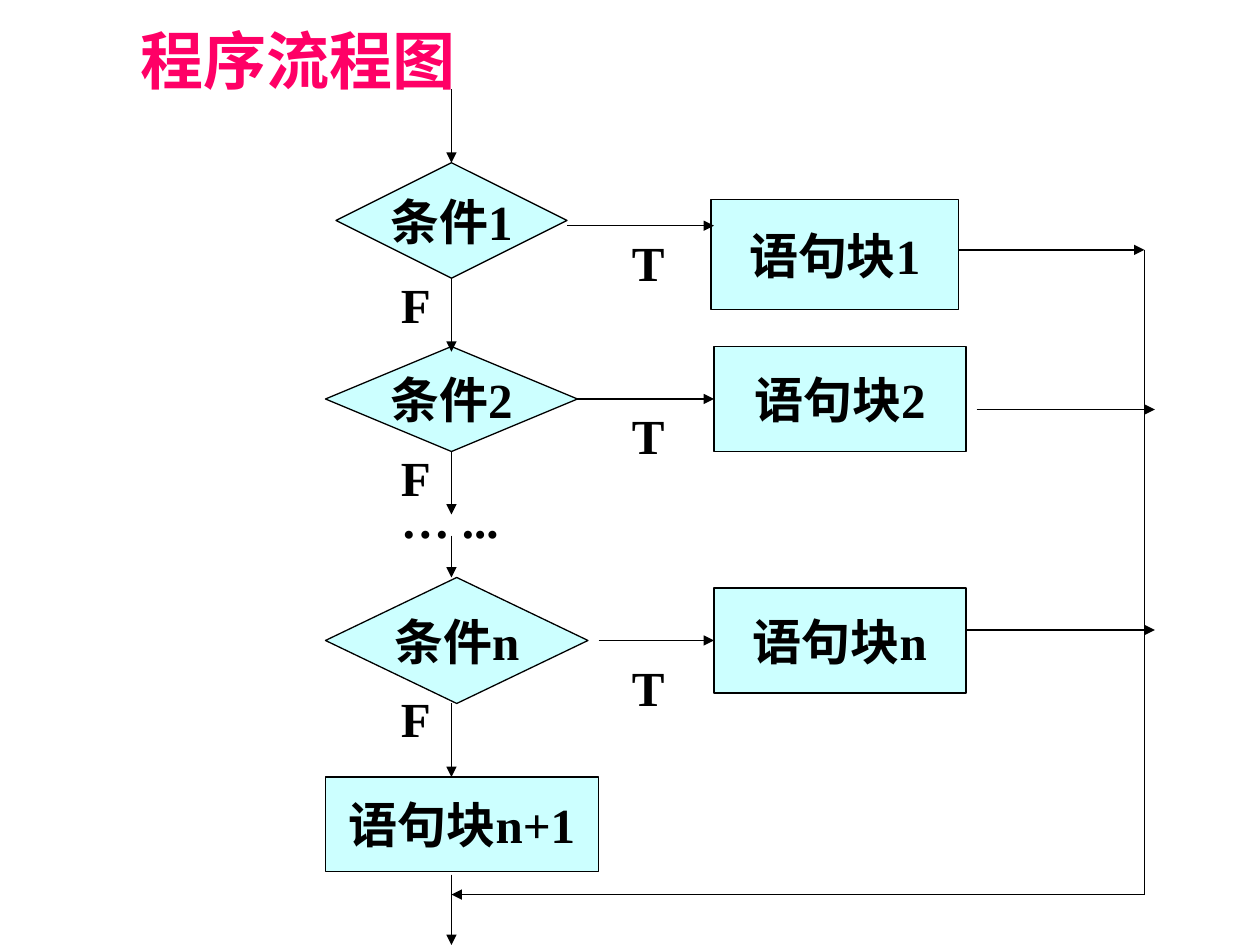
from dataclasses import dataclass

from lxml import etree
from pptx import Presentation
from pptx import util as u
from pptx.dml.color import RGBColor
from pptx.enum import shapes, text
from pptx.oxml.ns import qn


@dataclass(frozen=True)
class Theme:
    title_color: RGBColor = RGBColor(0xFF, 0x00, 0x66)
    fill: RGBColor = RGBColor(0xCC, 0xFF, 0xFF)
    ink: RGBColor = RGBColor(0x00, 0x00, 0x00)
    latin: str = "Times New Roman"
    chinese: str = "Noto Sans CJK SC"
    title_size: int = 36
    text_size: int = 28
    line_width: float = 0.75


THEME = Theme()
CELL = u.Inches(1) / 12  # the slide is a grid of 120 columns by 90 rows
SPINE = 43               # column of the main downward flow
RETURN = 109             # column of the return line
BRANCH = 68              # column where the true branches end
TOP, LEFT, BOTTOM, RIGHT = range(4)

DECISION = shapes.MSO_SHAPE.FLOWCHART_DECISION
PROCESS = shapes.MSO_SHAPE.FLOWCHART_PROCESS


def grid(*cells):
    return [u.Emu(round(cell * CELL)) for cell in cells]


def style_paragraph(paragraph, size, color, latin):
    font = paragraph.font
    font.size, font.bold, font.name = u.Pt(size), True, latin
    font.color.rgb = color
    properties = paragraph._p.pPr.find(qn("a:defRPr"))
    etree.SubElement(properties, qn("a:ea")).set("typeface", THEME.chinese)


def write(shape, words, align=text.PP_ALIGN.CENTER,
          anchor=text.MSO_ANCHOR.MIDDLE, wrap=False):
    frame = shape.text_frame
    frame.word_wrap = wrap
    frame.vertical_anchor = anchor
    paragraph = frame.paragraphs[0]
    paragraph.text = words
    paragraph.alignment = align
    style_paragraph(paragraph, THEME.text_size, THEME.ink, THEME.latin)
    return paragraph


def add_title(slide, words):
    title = slide.shapes.title
    title.left, title.top, title.width, title.height = grid(4.2, 2.5, 48.3, 7.6)
    frame = title.text_frame
    frame.auto_size = text.MSO_AUTO_SIZE.NONE
    frame.vertical_anchor = text.MSO_ANCHOR.MIDDLE
    paragraph = frame.paragraphs[0]
    paragraph.text = words
    paragraph.alignment = text.PP_ALIGN.CENTER
    paragraph.line_spacing = 0.8
    style_paragraph(paragraph, THEME.title_size, THEME.title_color, THEME.chinese)


def add_node(slide, kind, words, *box):
    node = slide.shapes.add_shape(kind, *grid(*box))
    node.shadow.inherit = False
    node.fill.solid()
    node.fill.fore_color.rgb = THEME.fill
    node.line.color.rgb = THEME.ink
    node.line.width = u.Pt(THEME.line_width)
    write(node, words)
    return node


def add_label(slide, words, column, row):
    label = slide.shapes.add_textbox(*grid(column, row, 4, 6.8))
    write(label, words)


def add_dots(slide, words, *box):
    dots = slide.shapes.add_textbox(*grid(*box))
    paragraph = write(dots, words, text.PP_ALIGN.LEFT, text.MSO_ANCHOR.TOP, True)
    paragraph.space_before = u.Pt(17.5)


def add_line(slide, start, end, begin=None, finish=None, arrow=True):
    """Draw a line; begin and finish are optional (node, side) joints."""
    line = slide.shapes.add_connector(
        shapes.MSO_CONNECTOR.STRAIGHT, *grid(*start, *end))
    line.line.color.rgb = THEME.ink
    line.line.width = u.Pt(THEME.line_width)
    if arrow:
        outline = line.line._get_or_add_ln()
        etree.SubElement(outline, qn("a:tailEnd")).set("type", "triangle")
    etree.SubElement(line._element.spPr, qn("a:effectLst"))
    if begin:
        line.begin_connect(*begin)
    if finish:
        line.end_connect(*finish)


def main():
    presentation = Presentation()
    presentation.slide_width, presentation.slide_height = grid(120, 90)
    slide = presentation.slides.add_slide(presentation.slide_layouts[5])
    add_title(slide, "程序流程图")

    # Conditions, their statement blocks and the final block
    first, second, last = [
        add_node(slide, DECISION, f"条件{name}", *box) for name, box in (
            ("1", (32, 15.5, 22, 11)),
            ("2", (31, 33, 24, 10)),
            ("n", (31, 55, 25, 12)))]
    block_1, block_2, block_n, _ = [
        add_node(slide, PROCESS, f"语句块{name}", *box) for name, box in (
            ("1", (67.7, 19, 23.6, 10.5)),
            ("2", (BRANCH, 33, 24, 10)),
            ("n", (BRANCH, 56, 24, 10)),
            ("n+1", (31, 74, 26, 9)))]

    # Main flow down the spine
    for top, bottom, begin, finish in (
            (8.5, 15.5, None, (first, TOP)),
            (26.5, 33.5, (first, BOTTOM), None),
            (43, 49, (second, BOTTOM), None),
            (51, 55, None, None),
            (67, 74, None, None),
            (83.3, 90, None, None)):
        add_line(slide, (SPINE, top), (SPINE, bottom), begin, finish)

    # True branches to the statement blocks
    for column, row, begin, finish in (
            (54, 21.5, None, None),
            (55, 38, (second, RIGHT), (block_2, LEFT)),
            (57, 61, None, (block_n, LEFT))):
        add_line(slide, (column, row), (BRANCH, row), begin, finish)

    # Exits from the blocks and the return to the spine
    for left, right, row in ((91.3, RETURN, 23.8), (93, RETURN + 1, 39),
                             (92, RETURN + 1, 60)):
        add_line(slide, (left, row), (right, row))
    add_line(slide, (RETURN, 23.8), (RETURN, 85.2), arrow=False)
    add_line(slide, (RETURN, 85.2), (SPINE, 85.2))

    # Branch labels and the omitted steps
    for true_row, false_row in ((21.5, 25.5), (38, 42), (62, 65)):
        add_label(slide, "T", 59, true_row)
        add_label(slide, "F", 37, false_row)
    add_dots(slide, "… ...", 37, 46, 17, 6.8)

    presentation.save("out.pptx")


if __name__ == "__main__":
    main()
